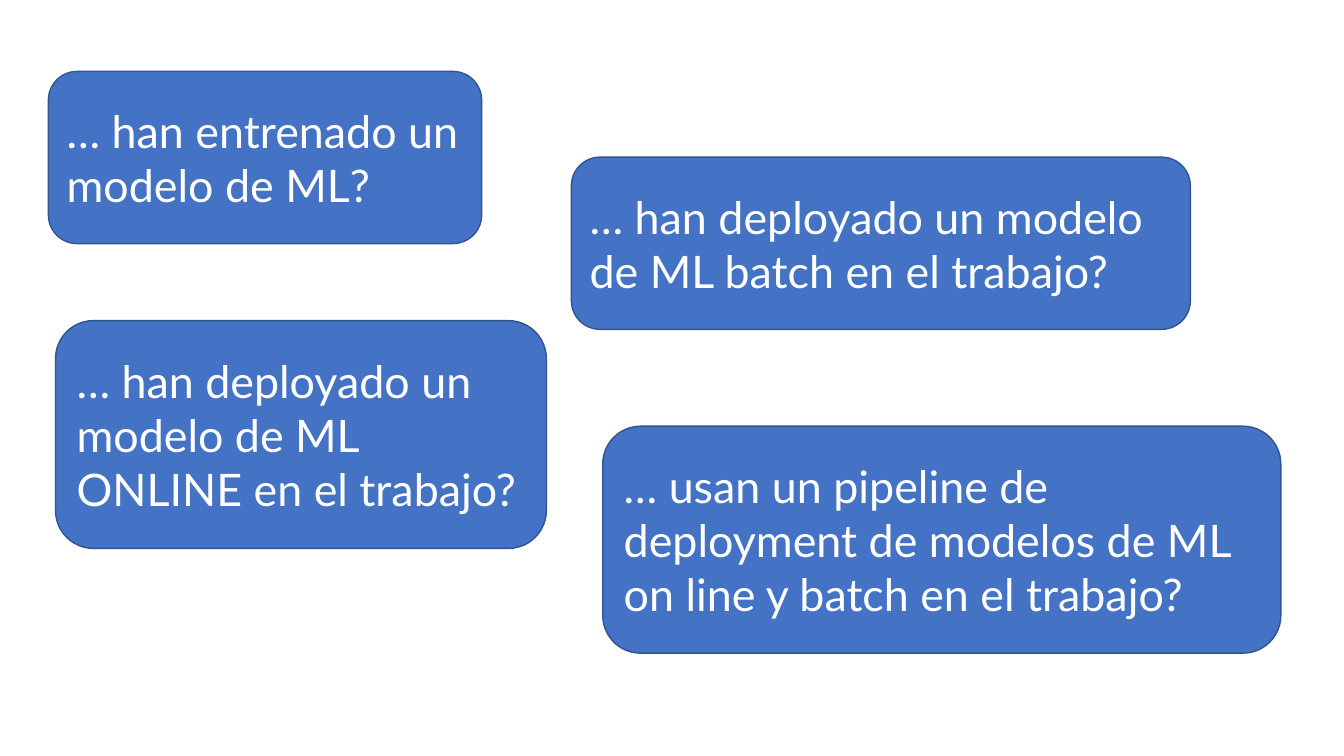
"""Build a slide of four audience questions in rounded boxes."""
import pptx
import pptx.dml.color
import pptx.enum.shapes
import pptx.enum.text
import pptx.util

Cm = pptx.util.Cm
Pt = pptx.util.Pt

QUESTIONS = [
    ("… han entrenado un modelo de ML?", (1.22, 1.8, 10.92, 4.34)),
    ("… han deployado un modelo de ML batch en el trabajo?", (14.4, 3.96, 15.6, 4.34)),
    ("… han deployado un modelo de ML ONLINE en el trabajo?", (1.4, 8.08, 12.37, 5.74)),
    ("… usan un pipeline de deployment de modelos de ML on line y batch en el trabajo?",
     (15.19, 10.74, 17.09, 5.72)),
]
FILL, LINE, WHITE = "4472C4", "325491", "FFFFFF"


def color(value):
    return pptx.dml.color.RGBColor.from_string(value)


def write(tf, text, size=32, font="Lato", ink=WHITE):
    tf.word_wrap = True
    tf.vertical_anchor = pptx.enum.text.MSO_ANCHOR.MIDDLE
    p = tf.paragraphs[0]
    p.alignment = pptx.enum.text.PP_ALIGN.LEFT
    r = p.add_run()
    r.text = text
    r.font.size = Pt(size)
    r.font.name = font
    r.font.color.rgb = color(ink)


def add_question(s, text, box):
    kind = pptx.enum.shapes.MSO_SHAPE.ROUNDED_RECTANGLE
    sp = s.shapes.add_shape(kind, *map(Cm, box))
    sp.shadow.inherit = False
    sp.fill.solid()
    sp.fill.fore_color.rgb = color(FILL)
    sp.line.color.rgb = color(LINE)
    sp.line.width = Pt(1)
    write(sp.text_frame, text)


def main():
    prs = pptx.Presentation()
    prs.slide_width, prs.slide_height = Cm(33.87), Cm(19.05)
    s = prs.slides.add_slide(prs.slide_layouts[6])
    for text, box in QUESTIONS:
        add_question(s, text, box)
    prs.save("out.pptx")


if __name__ == "__main__":
    main()
